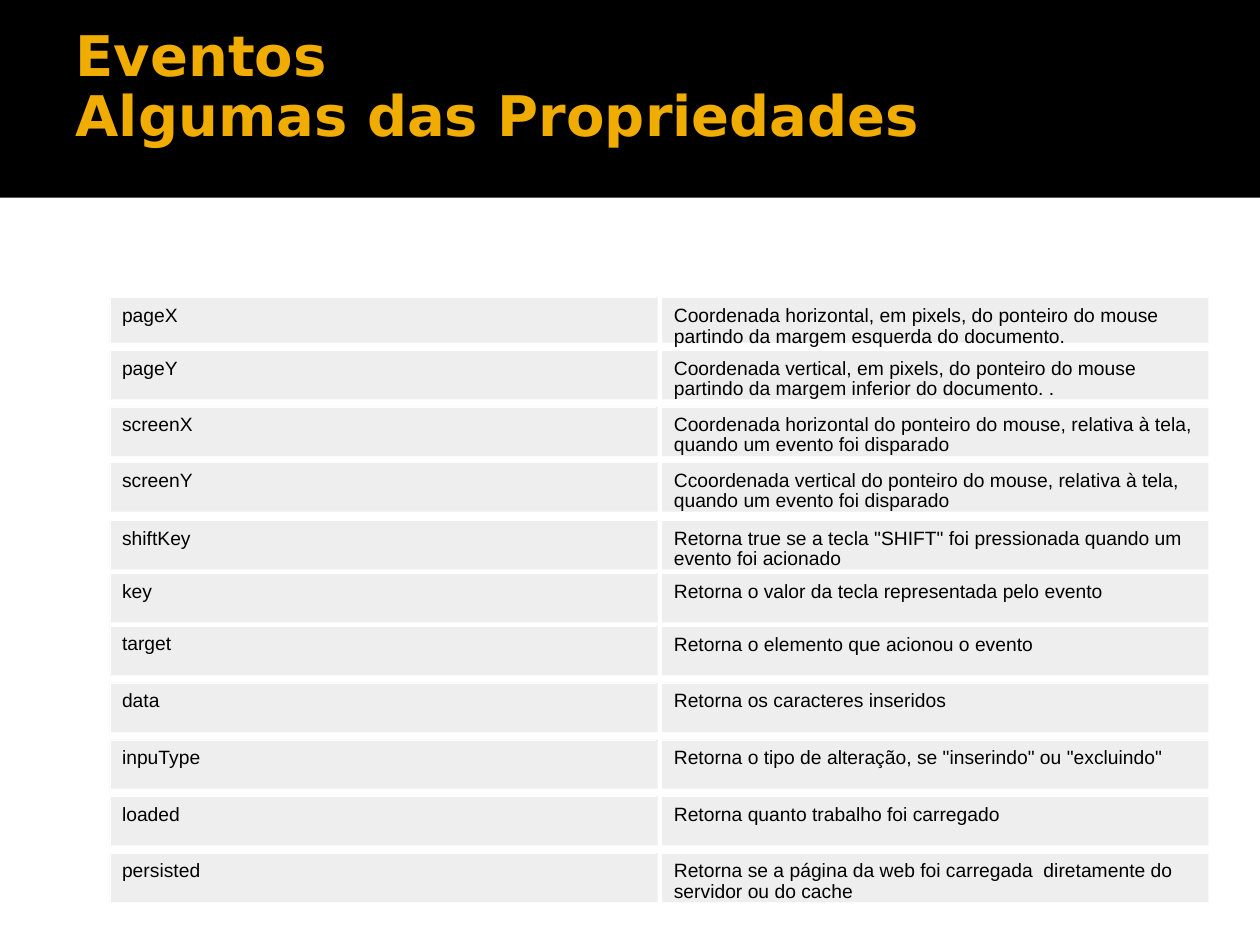
"""Build the slide that lists event properties and their meanings."""
from typing import NamedTuple

from lxml import etree
from pptx import Presentation
from pptx import util as u
from pptx.dml.color import RGBColor
from pptx.enum import shapes, text
from pptx.oxml import ns


class Property(NamedTuple):
    top: float
    name: str
    meaning: str
    height: float = 0.39
    meaning_spacing: float = 0.87
    meaning_inset: float = 0.07


PROPERTIES = [
    Property(2.36, "pageX", "Coordenada horizontal, em pixels, do ponteiro do mouse "
             "partindo da margem esquerda do documento.", 0.36, 0.93, 0.06),
    Property(2.78, "pageY", "Coordenada vertical, em pixels, do ponteiro do mouse "
             "partindo da margem inferior do documento. ."),
    Property(3.23, "screenX", "Coordenada horizontal do ponteiro do mouse, "
             "relativa à tela, quando um evento foi disparado"),
    Property(3.67, "screenY", "Ccoordenada vertical do ponteiro do mouse, "
             "relativa à tela, quando um evento foi disparado"),
    Property(4.13, "shiftKey", 'Retorna true se a tecla "SHIFT" foi pressionada '
             "quando um evento foi acionado"),
    Property(4.55, "key", "Retorna o valor da tecla representada pelo evento"),
    Property(4.97, "target", "Retorna o elemento que acionou o evento"),
    Property(5.42, "data", "Retorna os caracteres inseridos"),
    Property(5.87, "inpuType", 'Retorna o tipo de alteração, se "inserindo" ou "excluindo"'),
    Property(6.32, "loaded", "Retorna quanto trabalho foi carregado"),
    Property(6.77, "persisted", "Retorna se a página da web foi carregada  diretamente do "
             "servidor ou do cache"),
]
NAME_LEFT, MEANING_LEFT, GRID_RIGHT, GRID_BOTTOM = 0.87, 5.25, 9.64, 7.22
NAME_WIDTH, MEANING_WIDTH = 4.35, 4.34


def color(value: str) -> RGBColor:
    return RGBColor.from_string(value)


def add_box(parent, left: float, top: float, width: float, height: float, fill: str):
    box = parent.add_shape(shapes.MSO_SHAPE.RECTANGLE, u.Inches(left), u.Inches(top),
                           u.Inches(width), u.Inches(height))
    box.shadow.inherit = False
    box.fill.solid()
    box.fill.fore_color.rgb = color(fill)
    box.line.fill.background()
    return box


def set_text(box, words: str, font: str, size: int, ink: str, spacing: float,
             inset: float, bold: bool = False) -> None:
    frame = box.text_frame
    frame.text = words
    frame.word_wrap = True
    frame.auto_size = text.MSO_AUTO_SIZE.NONE
    frame.vertical_anchor = text.MSO_ANCHOR.TOP
    frame.margin_left = frame.margin_right = u.Inches(0.1)
    frame.margin_top, frame.margin_bottom = u.Inches(inset), u.Inches(0.05)
    for para in frame.paragraphs:
        para.alignment = text.PP_ALIGN.LEFT
        para.line_spacing = spacing
        for span in para.runs:
            span.font.name, span.font.size, span.font.bold = font, u.Pt(size), bold
            span.font.color.rgb = color(ink)


def add_rule(parent, x1: float, y1: float, x2: float, y2: float) -> None:
    rule = parent.add_connector(shapes.MSO_CONNECTOR.STRAIGHT, u.Inches(x1), u.Inches(y1),
                                u.Inches(x2), u.Inches(y2))
    rule.line.color.rgb = color("FFFFFF")
    rule.line.width = u.Pt(0.06)
    etree.SubElement(rule._element.spPr, ns.qn("a:effectLst"))


def add_title(page) -> None:
    band = add_box(page.shapes, 0, 0, 10, 1.57, "000000")
    page.shapes._spTree.insert(2, band._element)
    title = page.shapes.title
    title.left, title.top = u.Inches(0.5), u.Inches(0.17)
    title.width, title.height = u.Inches(9), u.Inches(1.37)
    set_text(title, "Eventos\vAlgumas das Propriedades", "DejaVu Sans", 32, "F0AD00",
             0.9, 0.05, bold=True)
    title.text_frame.paragraphs[0].space_after = u.Pt(5.6)


def add_grid(page) -> None:
    grid = page.shapes.add_group_shape().shapes
    for row in PROPERTIES:
        name = add_box(grid, NAME_LEFT, row.top, NAME_WIDTH, row.height, "EEEEEE")
        set_text(name, row.name, "Arial", 11, "000000", 0.93, 0.06)
        meaning = add_box(grid, MEANING_LEFT, row.top, MEANING_WIDTH, row.height, "EEEEEE")
        set_text(meaning, row.meaning, "Arial", 11, "000000",
                 row.meaning_spacing, row.meaning_inset)
    for y in [row.top for row in PROPERTIES] + [GRID_BOTTOM]:
        for left in (NAME_LEFT, MEANING_LEFT):
            add_rule(grid, left, y, left + MEANING_WIDTH, y)
    for x in (NAME_LEFT, MEANING_LEFT, GRID_RIGHT):
        for row in PROPERTIES:
            add_rule(grid, x, row.top, x, row.top + row.height)


def main() -> None:
    deck = Presentation()
    deck.slide_width, deck.slide_height = u.Inches(10), u.Inches(7.5)
    page = deck.slides.add_slide(deck.slide_layouts.get_by_name("Title Only"))
    add_title(page)
    add_grid(page)
    deck.save("out.pptx")


if __name__ == "__main__":
    main()
